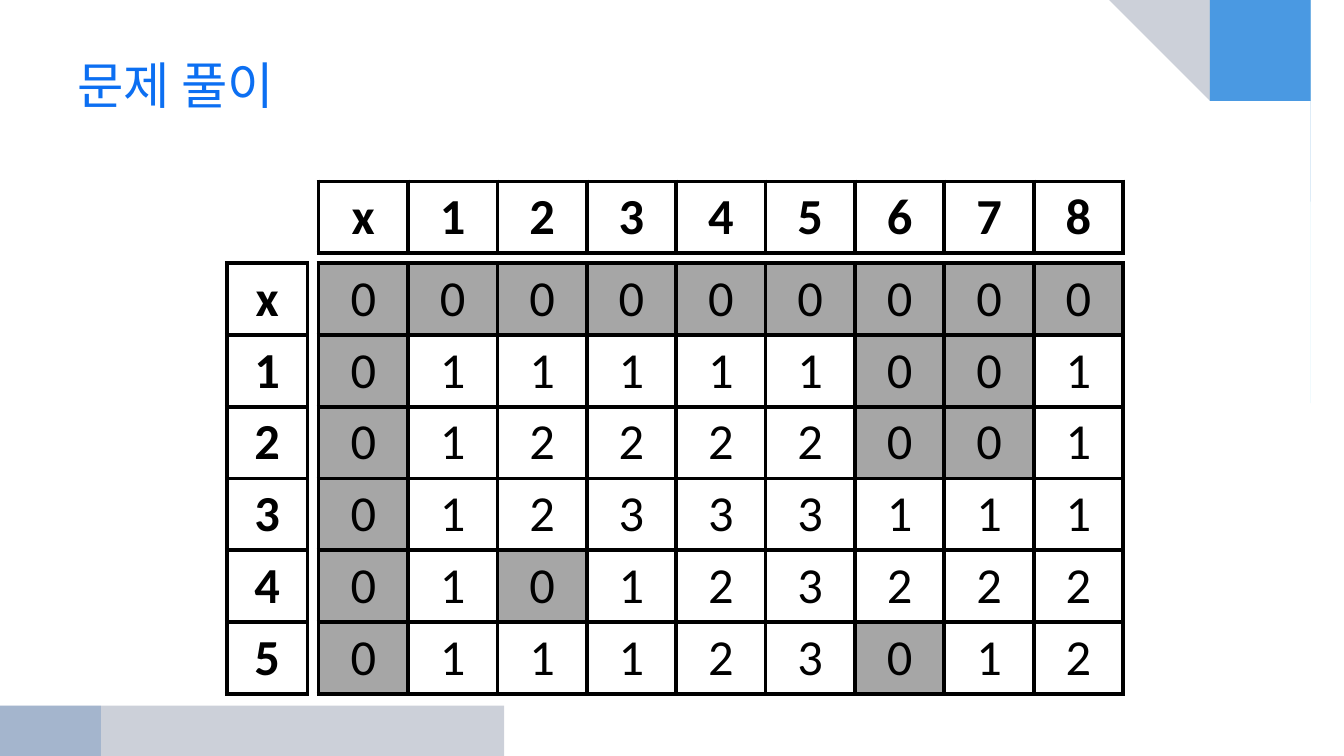
from lxml import etree
from pptx import Presentation
from pptx.dml.color import RGBColor
from pptx.enum.text import MSO_ANCHOR, PP_ALIGN
from pptx.oxml.ns import qn
from pptx.util import Inches, Pt

MIDDLE = MSO_ANCHOR.MIDDLE
LEFT, CENTER = PP_ALIGN.LEFT, PP_ALIGN.CENTER
FONT, SIZE = "Calibri", 36
W, H = 13.33, 7.5

TITLE = "문제 풀이"
COLUMN_HEADS = ["x", "1", "2", "3", "4", "5", "6", "7", "8"]
ROW_HEADS = ["x", "1", "2", "3", "4", "5"]
VALUES = [
    "000000000",
    "011111001",
    "012222001",
    "012333111",
    "010123222",
    "011123012",
]

# corner, curve start, control, curve end, colour, opacity in percent
WAVES = [
    ((W, 0), (W, 4.08), (13.2, 0.48), (11.89, 0), "00B1E9", 45),
    ((W, 0), (8.89, 0), (12.8, 0.2), (W, 2.15), "021741", 20),
    ((W, 0), (8.89, 0), (12.8, 0.15), (W, 1.55), "247FF4", 49),
    ((0, H), (5, H), (0.6, 7.37), (0, 6.08), "021741", 20),
    ((0, H), (0, 4.58), (0.13, 7.17), (1.48, H), "084AA1", 20),
]
CURVE_STEPS = 48

GRID_LEFT, GRID_TOP = 3.16, 2.61
COL_W, ROW_H = 7.98 / len(COLUMN_HEADS), 0.71
HEAD_TOP, SIDE_LEFT, SIDE_W = 1.8, 2.25, 0.8


def rgb(value):
    return RGBColor.from_string(value)


def style_text(tf, align, color, bold=False):
    tf.vertical_anchor = MIDDLE
    p = tf.paragraphs[0]
    p.alignment = align
    font = p.runs[0].font
    font.name, font.size, font.bold = FONT, Pt(SIZE), bold
    font.color.rgb = rgb(color)


def curve_point(start, control, end, t):
    u = 1 - t
    return tuple(
        u ** 3 * a + 3 * u * u * t * b + (3 * u * t * t + t ** 3) * c
        for a, b, c in zip(start, control, end)
    )


def add_wave(s, corner, start, control, end, color, opacity):
    points = [curve_point(start, control, end, i / CURVE_STEPS)
              for i in range(CURVE_STEPS + 1)]
    builder = s.shapes.build_freeform(*corner, scale=Inches(1))
    builder.add_line_segments(points, close=True)
    sp = builder.convert_to_shape()
    sp.shadow.inherit = False
    sp.line.fill.background()
    sp.fill.solid()
    sp.fill.fore_color.rgb = rgb(color)
    clr = sp.fill._xPr.find(qn("a:solidFill"))[0]
    etree.SubElement(clr, qn("a:alpha"), val=str(opacity * 1000))


def add_borders(cell):
    tc_pr = cell._tc.get_or_add_tcPr()
    for i, side in enumerate(("lnL", "lnR", "lnT", "lnB")):
        ln = etree.Element(qn("a:" + side), w=str(Pt(3)))
        fill = etree.SubElement(ln, qn("a:solidFill"))
        etree.SubElement(fill, qn("a:srgbClr"), val="000000")
        tc_pr.insert(i, ln)


def add_grid(s, rows, left, top, col_w, bold):
    n_rows, n_cols = len(rows), len(rows[0])
    table = s.shapes.add_table(
        n_rows, n_cols, Inches(left), Inches(top),
        Inches(n_cols * col_w), Inches(n_rows * ROW_H)).table
    table.first_row = table.horz_banding = False
    for r, row in enumerate(rows):
        for c, value in enumerate(row):
            cell = table.cell(r, c)
            cell.text = value
            cell.fill.solid()
            cell.fill.fore_color.rgb = rgb("A6A6A6" if value == "0" else "FFFFFF")
            cell.vertical_anchor = MIDDLE
            style_text(cell.text_frame, CENTER, "000000", bold)
            add_borders(cell)


def main():
    prs = Presentation()
    prs.slide_width, prs.slide_height = Inches(W), Inches(H)
    s = prs.slides.add_slide(prs.slide_layouts[5])

    for wave in WAVES:
        add_wave(s, *wave)

    title = s.shapes.title
    title.left, title.top = Inches(W * 0.05), Inches(0.33)
    title.width, title.height = Inches(W * 0.9), Inches(1.01)
    title.text_frame.text = TITLE
    style_text(title.text_frame, LEFT, "0C6FF2")

    add_grid(s, VALUES, GRID_LEFT, GRID_TOP, COL_W, False)
    add_grid(s, [COLUMN_HEADS], GRID_LEFT, HEAD_TOP, COL_W, True)
    add_grid(s, [[head] for head in ROW_HEADS], SIDE_LEFT, GRID_TOP, SIDE_W, True)

    prs.save("out.pptx")


if __name__ == "__main__":
    main()
